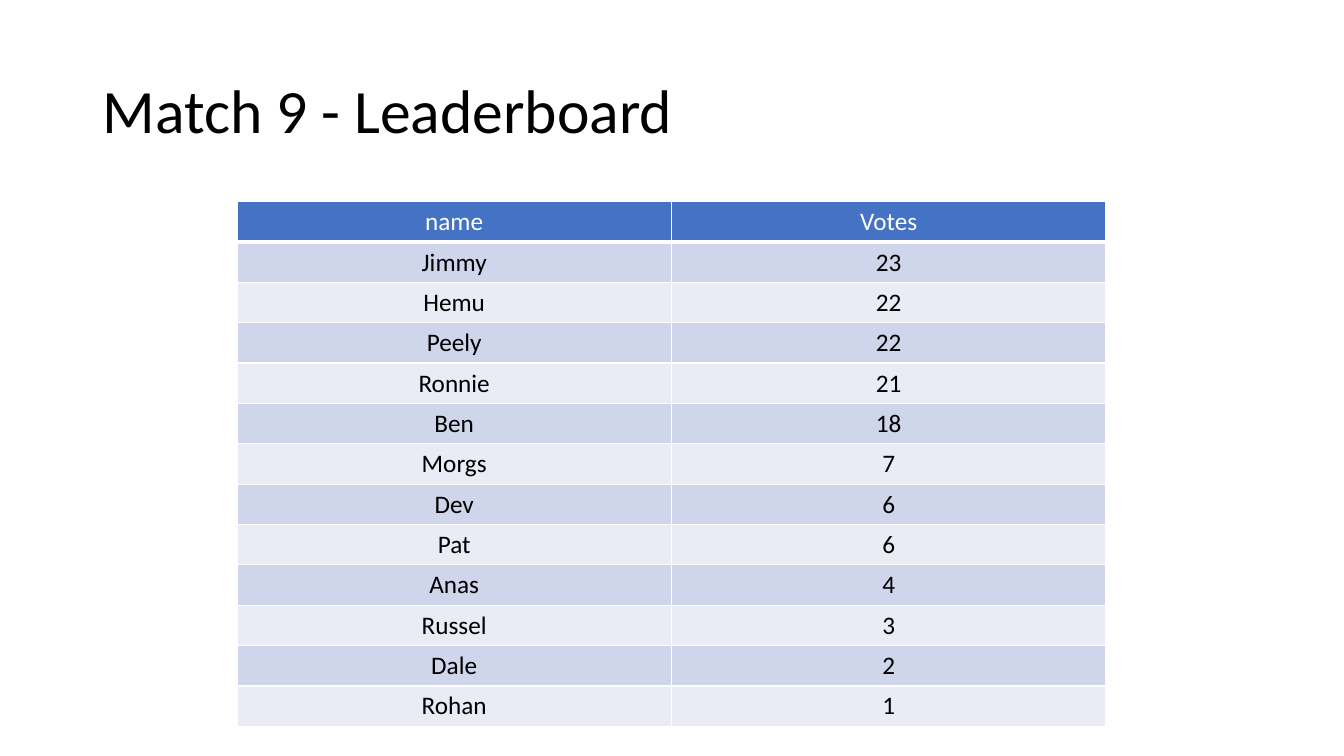
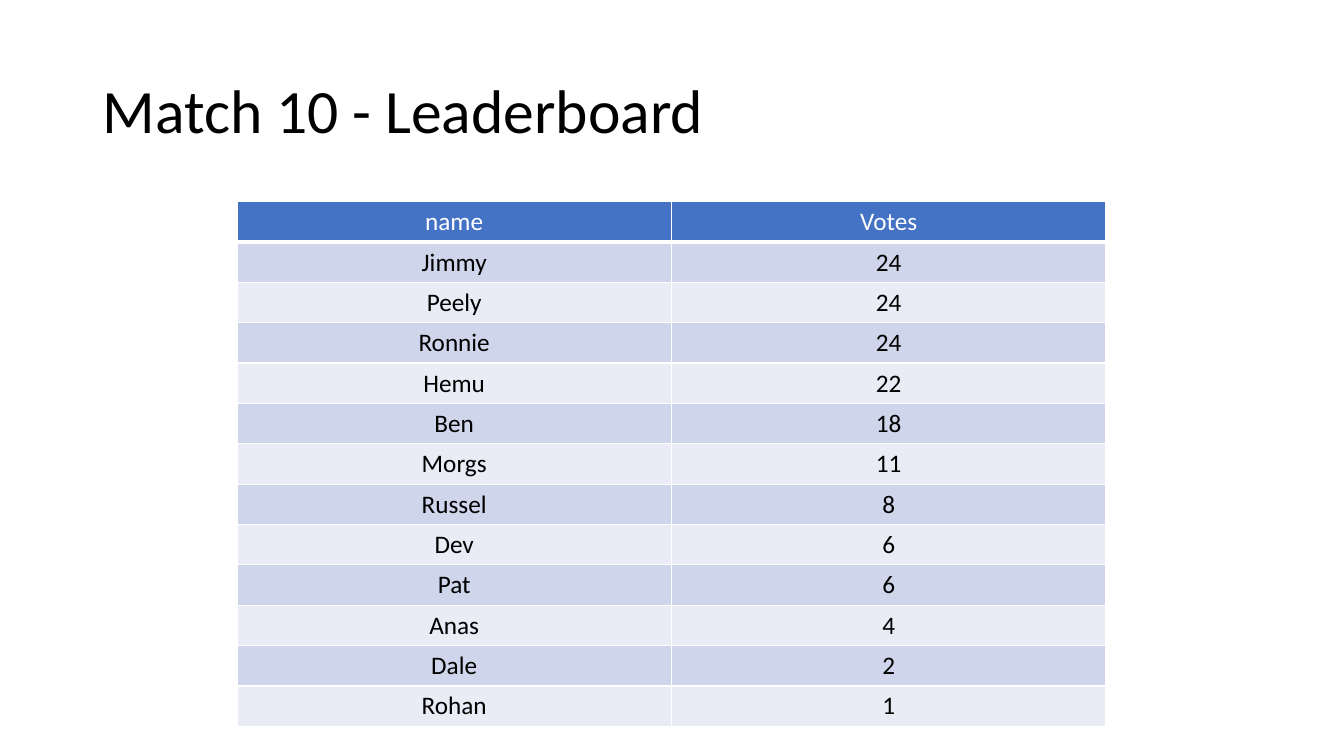
from lxml import etree
from pptx import Presentation
from pptx.dml.color import RGBColor
from pptx.enum.text import MSO_ANCHOR, PP_ALIGN
from pptx.oxml.ns import qn
from pptx.util import Inches, Pt

MIDDLE = MSO_ANCHOR.MIDDLE
CENTER = PP_ALIGN.CENTER

BLACK = RGBColor(0x00, 0x00, 0x00)
WHITE = RGBColor(0xFF, 0xFF, 0xFF)
HEADER_BLUE = RGBColor(0x44, 0x72, 0xC4)
BAND_DARK = RGBColor(0xCF, 0xD5, 0xEA)
BAND_LIGHT = RGBColor(0xE9, 0xEB, 0xF5)

FONT = "Calibri"
BLANK_LAYOUT = 6
HEADINGS = ("name", "Votes")

LEADERBOARDS = {
    "Match 9 - Leaderboard": [
        ("Jimmy", 23), ("Hemu", 22), ("Peely", 22), ("Ronnie", 21),
        ("Ben", 18), ("Morgs", 7), ("Dev", 6), ("Pat", 6),
        ("Anas", 4), ("Russel", 3), ("Dale", 2), ("Rohan", 1),
    ],
    "Match 10 - Leaderboard": [
        ("Jimmy", 24), ("Peely", 24), ("Ronnie", 24), ("Hemu", 22),
        ("Ben", 18), ("Morgs", 11), ("Russel", 8), ("Dev", 6),
        ("Pat", 6), ("Anas", 4), ("Dale", 2), ("Rohan", 1),
    ],
}


class LeaderboardDeck:
    """Holds the shared style and the slide being built."""

    def __init__(self):
        self.deck = Presentation()
        self.deck.slide_width = Inches(13.33)
        self.deck.slide_height = Inches(7.5)
        self.slide = None

    def add_slide(self):
        layout = self.deck.slide_layouts[BLANK_LAYOUT]
        self.slide = self.deck.slides.add_slide(layout)

    def style_paragraph(self, paragraph, size, color):
        paragraph.font.name = FONT
        paragraph.font.size = Pt(size)
        paragraph.font.bold = False
        paragraph.font.color.rgb = color

    def add_title(self, text):
        box = self.slide.shapes.add_textbox(
            Inches(0.92), Inches(0.4), Inches(11.5), Inches(1.45))
        frame = box.text_frame
        frame.word_wrap = True
        frame.vertical_anchor = MIDDLE
        paragraph = frame.paragraphs[0]
        paragraph.text = text
        paragraph.line_spacing = 0.9
        self.style_paragraph(paragraph, 44, BLACK)

    def add_table(self, headings, entries):
        rows = [headings, *entries]
        row_height = Inches(0.4)
        table = self.slide.shapes.add_table(
            len(rows), len(headings), Inches(2.35), Inches(2),
            Inches(8.62), row_height * len(rows)).table
        table.horz_banding = False
        for row_index, values in enumerate(rows):
            table.rows[row_index].height = row_height
            for column_index, value in enumerate(values):
                cell = table.cell(row_index, column_index)
                self.fill_cell(cell, str(value), row_index)

    def fill_cell(self, cell, text, row_index):
        is_header = row_index == 0
        if is_header:
            fill, color = HEADER_BLUE, WHITE
        else:
            fill, color = (BAND_DARK if row_index % 2 else BAND_LIGHT), BLACK
        self.set_borders(cell, bottom=3 if is_header else 1)
        cell.fill.solid()
        cell.fill.fore_color.rgb = fill
        paragraph = cell.text_frame.paragraphs[0]
        paragraph.text = text
        paragraph.alignment = CENTER
        self.style_paragraph(paragraph, 18, color)

    def set_borders(self, cell, bottom):
        """Draw white borders, 1 point wide except at the bottom."""
        properties = cell._tc.get_or_add_tcPr()
        widths = {"lnL": 1, "lnR": 1, "lnT": 1, "lnB": bottom}
        for side, width in widths.items():
            line = etree.SubElement(
                properties, qn(f"a:{side}"), w=str(Pt(width)))
            fill = etree.SubElement(line, qn("a:solidFill"))
            etree.SubElement(fill, qn("a:srgbClr"), val=str(WHITE))


def main():
    board = LeaderboardDeck()
    for title, entries in LEADERBOARDS.items():
        board.add_slide()
        board.add_title(title)
        board.add_table(HEADINGS, entries)
    board.deck.save("out.pptx")


if __name__ == "__main__":
    main()
